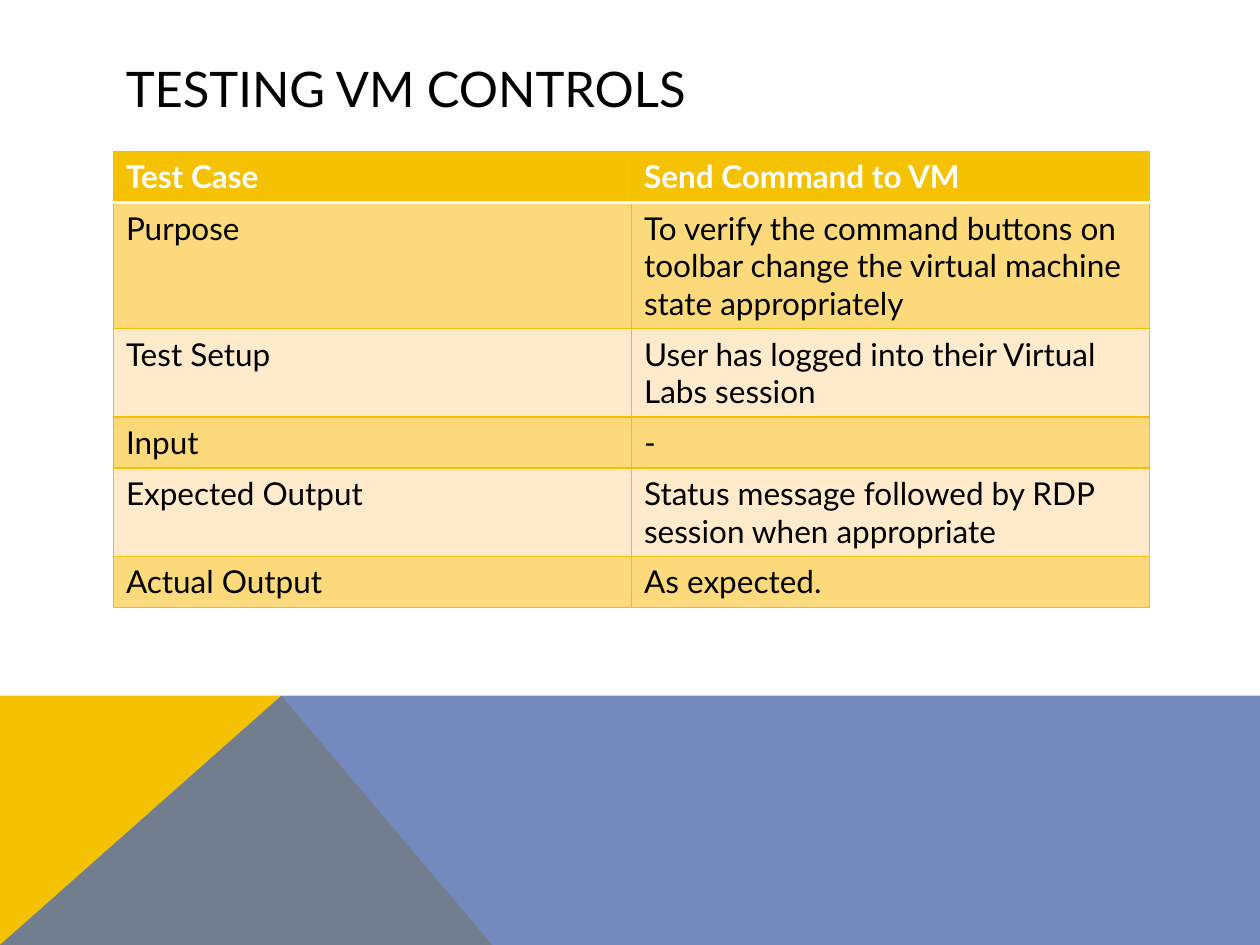
from lxml import etree
from pptx import Presentation
from pptx.dml.color import RGBColor
from pptx.enum.text import MSO_ANCHOR
from pptx.oxml.ns import qn
from pptx.util import Pt

MIDDLE = MSO_ANCHOR.MIDDLE
BLACK = RGBColor(0x00, 0x00, 0x00)
WHITE = RGBColor(0xFF, 0xFF, 0xFF)
GOLD = RGBColor(0xF5, 0xC2, 0x01)
DARK_GOLD = RGBColor(0xF1, 0xBE, 0x00)
BAND_GOLD = RGBColor(0xFC, 0xDA, 0x7C)
CREAM = RGBColor(0xFF, 0xEA, 0xCC)
BLUE = RGBColor(0x52, 0x6D, 0xB0)

FONT = "Lato"
WIDTH, HEIGHT = 720, 540
HORIZON, PEAK, FOOT = 397.6, 160.8, 281.3
LEFT, TABLE_TOP, TABLE_WIDTH, ROW_HEIGHT = 64.8, 86.6, 592.2, 29.2

TITLE = "TESTING VM CONTROLS"
ROWS = [
    ("Test Case", "Send Command to VM"),
    ("Purpose", "To verify the command buttons on toolbar change the "
                "virtual machine state appropriately"),
    ("Test Setup", "User has logged into their Virtual Labs session"),
    ("Input", "-"),
    ("Expected Output", "Status message followed by RDP session when appropriate"),
    ("Actual Output", "As expected."),
]
# Corner points, colour, opacity in percent
FOOTER_SHAPES = [
    ([(0, HEIGHT), (0, HORIZON), (PEAK, HORIZON), (FOOT, HEIGHT)], GOLD, 100),
    ([(0, HEIGHT), (PEAK, HORIZON), (WIDTH, HORIZON), (WIDTH, HEIGHT)], BLUE, 80),
]


def add_polygon(page, points, colour, opacity):
    corners = [(Pt(x), Pt(y)) for x, y in points]
    builder = page.shapes.build_freeform(*corners[0])
    builder.add_line_segments(corners[1:], close=True)
    shape = builder.convert_to_shape()
    shape.shadow.inherit = False
    shape.line.fill.background()
    shape.fill.solid()
    shape.fill.fore_color.rgb = colour
    if opacity < 100:
        tint = shape._element.spPr.find(qn("a:solidFill"))[0]
        etree.SubElement(tint, qn("a:alpha"), val=str(opacity * 1000))


def write(frame, text, colour, **formats):
    span = frame.paragraphs[0].add_run()
    span.text = text
    span.font.color.rgb = colour
    for name, value in {"name": FONT, **formats}.items():
        setattr(span.font, name, value)


def set_border(cell, side, colour, width):
    """Draw one side (L, R, T or B); call before the cell is filled."""
    line = etree.SubElement(cell._tc.get_or_add_tcPr(), qn(f"a:ln{side}"),
                            w=str(Pt(width)))
    fill = etree.SubElement(line, qn("a:solidFill"))
    etree.SubElement(fill, qn("a:srgbClr"), val=str(colour))


def add_test_table(page):
    table = page.shapes.add_table(
        len(ROWS), len(ROWS[0]), Pt(LEFT), Pt(TABLE_TOP),
        Pt(TABLE_WIDTH), Pt(ROW_HEIGHT * len(ROWS))).table
    for row, texts in enumerate(ROWS):
        header = row == 0
        for column, text in enumerate(texts):
            cell = table.cell(row, column)
            for side in "LRTB":
                rule = (side, row) in (("B", 0), ("T", 1))
                set_border(cell, side, *((WHITE, 2) if rule else (DARK_GOLD, 0.75)))
            cell.fill.solid()
            cell.fill.fore_color.rgb = GOLD if header else BAND_GOLD if row % 2 else CREAM
            write(cell.text_frame, text, WHITE if header else BLACK,
                  size=Pt(18), bold=header)


def main():
    deck = Presentation()
    deck.slide_width, deck.slide_height = Pt(WIDTH), Pt(HEIGHT)
    page = deck.slides.add_slide(deck.slide_layouts[6])
    for points, colour, opacity in FOOTER_SHAPES:
        add_polygon(page, points, colour, opacity)
    frame = page.shapes.add_textbox(Pt(LEFT), Pt(28.8), Pt(592), Pt(43.2)).text_frame
    frame.word_wrap = True
    frame.vertical_anchor = MIDDLE
    write(frame, TITLE, BLACK, size=Pt(28))
    add_test_table(page)
    deck.save("out.pptx")


if __name__ == "__main__":
    main()
